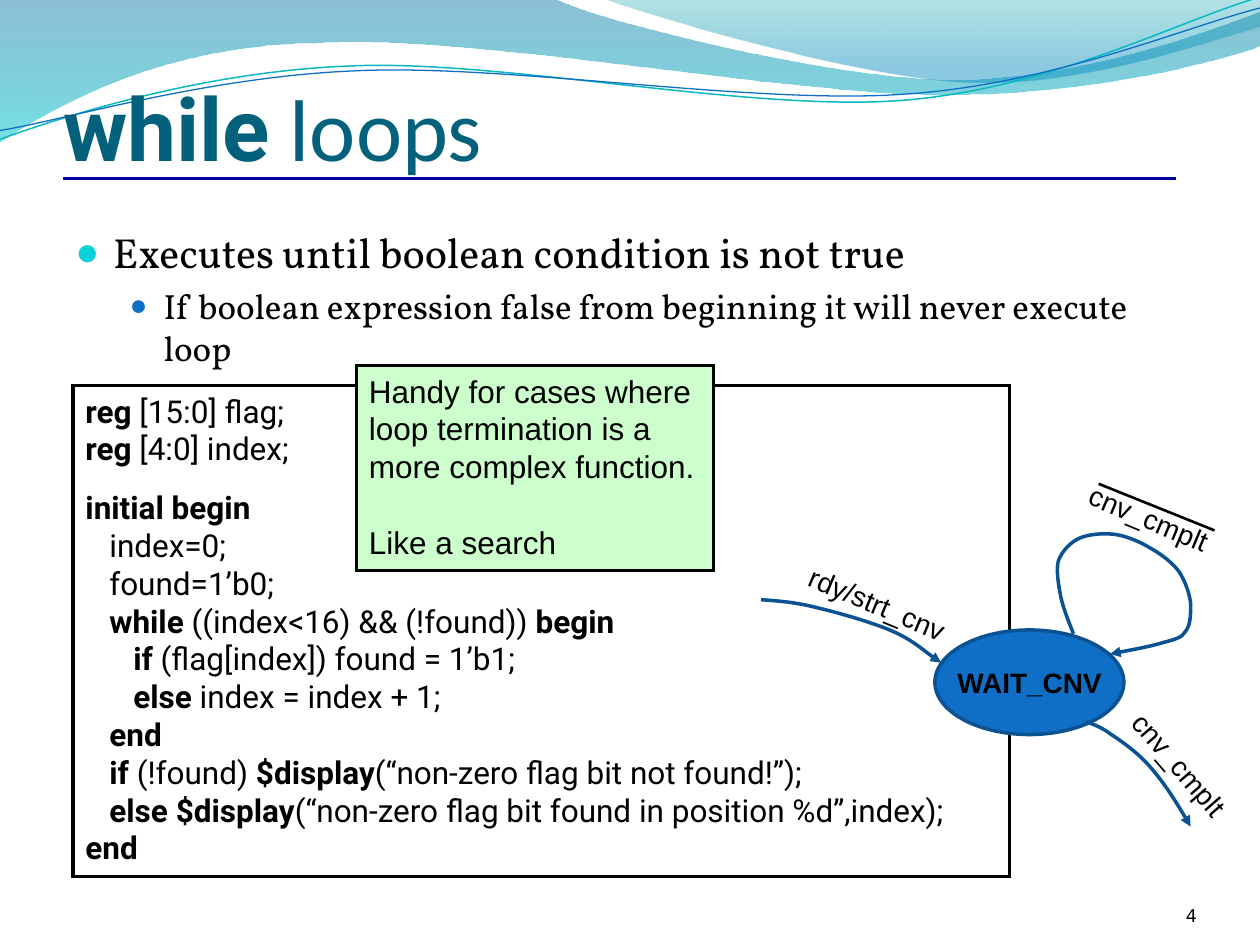
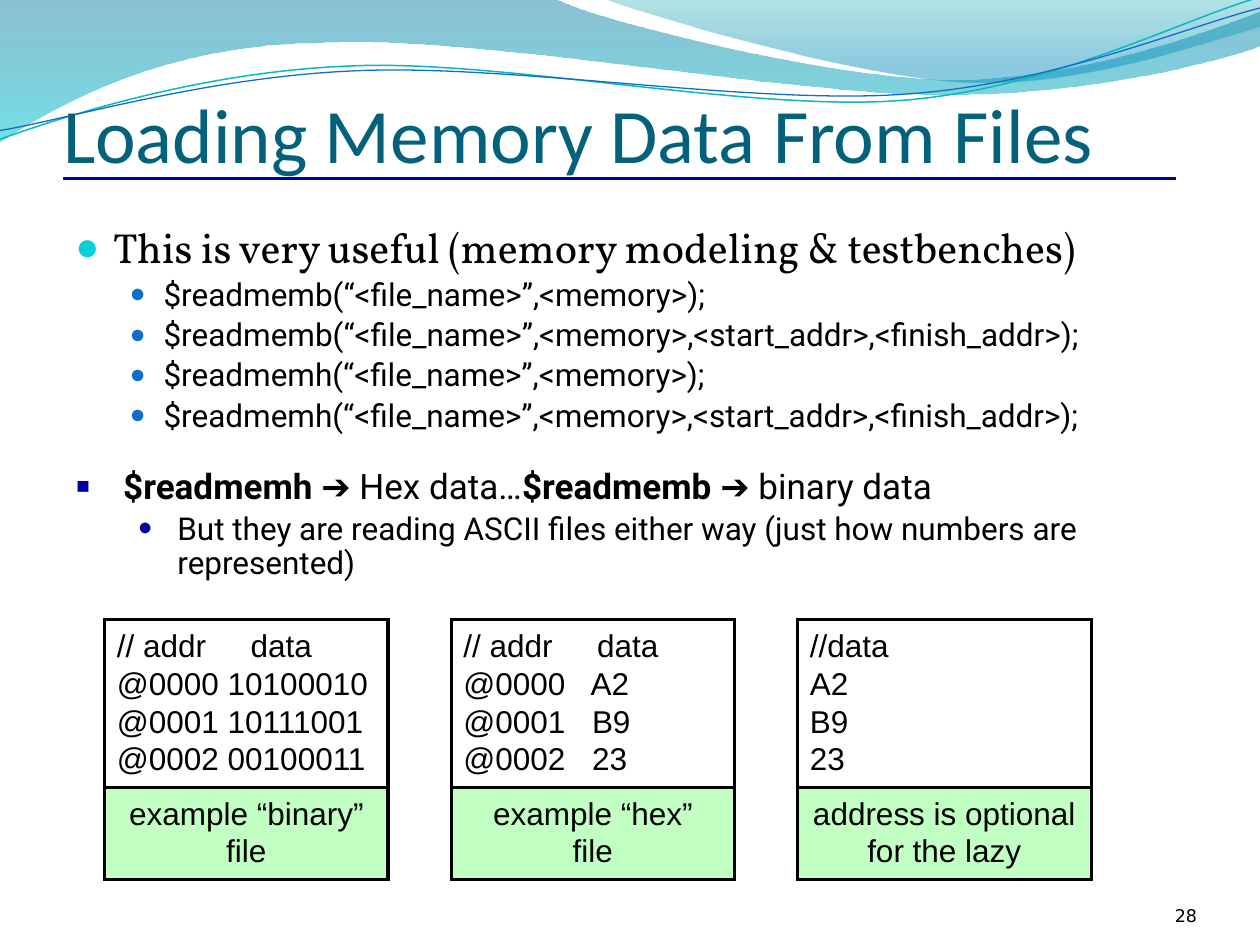
from dataclasses import dataclass

from lxml import etree
from pptx import Presentation
from pptx.dml.color import RGBColor
from pptx.enum.shapes import MSO_CONNECTOR, MSO_SHAPE
from pptx.enum.text import MSO_ANCHOR, MSO_AUTO_SIZE, PP_ALIGN
from pptx.oxml.ns import qn
from pptx.util import Emu, Pt

LEFT, CENTER, RIGHT = PP_ALIGN.LEFT, PP_ALIGN.CENTER, PP_ALIGN.RIGHT
TOP, BOTTOM = MSO_ANCHOR.TOP, MSO_ANCHOR.BOTTOM
RECTANGLE, OVAL = MSO_SHAPE.RECTANGLE, MSO_SHAPE.OVAL
STRAIGHT = MSO_CONNECTOR.STRAIGHT
EMU_PER_PX = 9144
LINE_FACTOR = 1.2
WAVE_ROTATION = 357.3


@dataclass(frozen=True)
class Theme:
    black: str = "000000"
    title: str = "04617B"
    rule: str = "0000A0"
    cyan: str = "0BD0D9"
    teal: str = "0AB8BF"
    blue: str = "0F6FC6"
    outline: str = "0B5292"
    note: str = "CCFFCC"
    caption: str = "00FF00"
    heading_font: str = "Calibri"
    body_font: str = "Vollkorn"
    code_font: str = "Roboto"
    label_font: str = "Arial"
    number_font: str = "DejaVu Sans"
    big_title_size: int = 50
    title_size: int = 44
    lead_size: int = 24
    point_size: int = 20
    text_size: int = 18
    label_size: int = 16
    number_size: int = 10
    border: float = 1.75
    arrow: float = 2


THEME = Theme()


@dataclass(frozen=True)
class Bullet:
    char: str
    color: str
    percent: int
    margin: int
    hang: int


LEAD = Bullet("●", THEME.cyan, 95, 30, 30)
POINT = Bullet("●", THEME.blue, 85, 70, 27)
SQUARE = Bullet("▪", THEME.rule, 125, 38, 38)
DOT = Bullet("•", THEME.rule, 125, 81, 31)

BANDS = [
    ([(0, -1), (440, -1), (476, 17, 664, 63, 758, 63), (853, 63, 958, 26, 1000, 9),
      (1001, 36), (983, 44, 870, 76, 746, 75), (622, 75, 382, 28, 257, 34),
      (129, 35, 46, 83, -1, 113)], [(0, "0074A1", 45), (1, "00C6CF", 55)]),
    ([(479, -1), (509, 11, 682, 62, 769, 65), (856, 69, 961, 32, 1000, 21),
      (1000, 0)], [(0, "00A1A9", 30), (0.8, "008BBF", 45)]),
]
WAVES = [
    ([(-2, 87), (47, 72, 158, 41, 278, 42), (396, 42, 591, 93, 712, 90),
      (832, 87, 940, 36, 1000, 22)], THEME.teal, 0.85),
    ([(-2, 80), (46, 75, 164, 45, 283, 46), (403, 46, 596, 88, 716, 85),
      (835, 83, 942, 42, 1002, 30)], THEME.blue, 0.75),
]

CODE = [
    (0, [("reg", True), (" [15:0] flag;", False)]),
    (0, [("reg", True), (" [4:0] index;", False)]),
    (0, [("initial begin", True)]),
    (1, [("index=0;", False)]),
    (1, [("found=1’b0;", False)]),
    (1, [("while", True), (" ((index<16) && (!found)) ", False), ("begin", True)]),
    (2, [("if", True), (" (flag[index]) found = 1’b1;", False)]),
    (2, [("else", True), (" index = index + 1;", False)]),
    (1, [("end", True)]),
    (1, [("if", True), (" (!found) ", False), ("$display", True),
         ("(“non-zero flag bit not found!”);", False)]),
    (1, [("else $display", True),
         ("(“non-zero flag bit found in position %d”,index);", False)]),
    (0, [("end", True)]),
]

ENTRY_ARROW = [(604, 476), (618, 477, 631, 478, 647, 482),
               (664, 486, 689, 493, 706, 500), (723, 507, 740, 522, 747, 526)]
LOOP_ARROW = [
    (852, 503), (848, 493, 844, 483, 842, 474), (840, 464, 838, 452, 840, 445),
    (843, 437, 850, 430, 857, 427), (864, 424, 875, 423, 884, 424),
    (893, 425, 905, 430, 913, 435), (922, 440, 931, 447, 936, 454),
    (941, 462, 944, 471, 945, 479), (945, 487, 945, 496, 941, 501),
    (938, 506, 934, 507, 923, 510), (913, 513, 897, 516, 881, 519)]
EXIT_ARROW = [(862, 573), (868, 575, 874, 577, 882, 583),
              (891, 589, 904, 598, 914, 610), (925, 623, 935, 639, 945, 656)]

MEMORY_FILES = [
    (83, 225, [("// addr\tdata", 106), ("@0000 10100010", 0),
               ("@0001 10111001", 0), ("@0002 00100011", 0)],
     ["example “binary”", "file"]),
    (358, 225, [("// addr\tdata", 106), ("@0000\tA2", 101),
                ("@0001\tB9", 102), ("@0002\t23", 102)],
     ["example “hex”", "file"]),
    (633, 233, [("//data", 0), ("A2", 0), ("B9", 0), ("23", 0)],
     ["address is optional for the lazy"]),
]


def px(value):
    return Emu(round(value * EMU_PER_PX))


def rgb(color):
    return RGBColor.from_string(color)


def child(parent, tag, **attributes):
    return etree.SubElement(parent, qn(tag), attributes)


def set_alphas(shape, *percents):
    for color, percent in zip(shape.element.spPr.iter(qn("a:srgbClr")), percents):
        child(color, "a:alpha", val=str(percent * 1000))


def set_frame(shape, anchor=TOP, insets=(10, 5, 10, 5), wrap=True):
    frame = shape.text_frame
    frame.word_wrap = wrap
    frame.auto_size = MSO_AUTO_SIZE.NONE
    frame.vertical_anchor = anchor
    (frame.margin_left, frame.margin_top,
     frame.margin_right, frame.margin_bottom) = map(px, insets)
    return frame


def next_para(frame):
    first = frame.paragraphs[0]
    return frame.add_paragraph() if first.runs else first


def add_span(para, text, size, font, color=THEME.black, bold=False):
    span = para.add_run()
    span.text = text
    span.font.size = Pt(size)
    span.font.name = font
    span.font.color.rgb = rgb(color)
    span.font.bold = bold


def add_para(frame, spans, size, font, align=LEFT, before=0, spacing=1.0):
    para = next_para(frame)
    para.alignment = align
    para.space_before = Pt(before)
    para.line_spacing = Pt(round(size * LINE_FACTOR * spacing, 2))
    for text, bold in spans:
        add_span(para, text, size, font, bold=bold)
    return para


def indent(para, margin, hang=0):
    properties = para._p.get_or_add_pPr()
    properties.set("marL", str(px(margin)))
    properties.set("indent", str(-px(hang)))
    return properties


def add_bullet(frame, bullet, spans, size, font, spacing=1.0):
    before = 0.2 * size if frame.paragraphs[0].runs else 0
    para = add_para(frame, spans, size, font, before=before, spacing=spacing)
    properties = indent(para, bullet.margin, bullet.hang)
    child(child(properties, "a:buClr"), "a:srgbClr", val=bullet.color)
    child(properties, "a:buSzPct", val=str(bullet.percent * 1000))
    child(properties, "a:buFont", typeface=THEME.label_font)
    child(properties, "a:buChar", char=bullet.char)


def add_tab_stop(para, position):
    stops = child(para._p.get_or_add_pPr(), "a:tabLst")
    child(stops, "a:tab", pos=str(px(position)), algn="l")


def add_text(page, left, top, width, height, rotation=0, **frame_options):
    box = page.shapes.add_textbox(px(left), px(top), px(width), px(height))
    box.rotation = rotation
    return set_frame(box, **frame_options)


def add_box(page, kind, bounds, fill=None, alpha=None, line=THEME.black,
            weight=THEME.border, wrap=True):
    box = page.shapes.add_shape(kind, *map(px, bounds))
    box.shadow.inherit = False
    if fill:
        box.fill.solid()
        box.fill.fore_color.rgb = rgb(fill)
    else:
        box.fill.background()
    if alpha:
        set_alphas(box, alpha)
    box.line.color.rgb = rgb(line)
    box.line.width = Pt(weight)
    child(box.element.spPr.get_or_add_ln(), "a:miter", lim="800000")
    return set_frame(box, wrap=wrap)


def add_line(page, start, end, color, weight):
    line = page.shapes.add_connector(STRAIGHT, *map(px, start + end))
    line.line.color.rgb = rgb(color)
    line.line.width = Pt(weight)
    child(line.element.spPr, "a:effectLst")


def add_outline(page, segments, closed=False):
    start, *rest = [tuple(map(px, segment[-2:])) for segment in segments]
    builder = page.shapes.build_freeform(*start)
    builder.add_line_segments(rest, close=closed)
    outline = builder.convert_to_shape()
    outline.shadow.inherit = False
    steps = list(outline.element.spPr.iter(qn("a:lnTo")))
    for step, segment in zip(steps, segments[1:]):
        if len(segment) == 6:
            bend(step, segment[:4], outline.left, outline.top)
    return outline


def bend(step, handles, left, top):
    curve = etree.Element(qn("a:cubicBezTo"))
    for x, y in (handles[:2], handles[2:]):
        child(curve, "a:pt", x=str(px(x) - left), y=str(px(y) - top))
    curve.extend(list(step))
    step.getparent().replace(step, curve)


def add_band(page, segments, stops):
    band = add_outline(page, segments, closed=True)
    band.line.fill.background()
    band.fill.gradient()
    band.fill.gradient_angle = 270
    for stop, (position, color, _) in zip(band.fill.gradient_stops, stops):
        stop.position = position
        stop.color.rgb = rgb(color)
    set_alphas(band, *[alpha for _, _, alpha in stops])


def add_curve(page, segments, color, weight):
    curve = add_outline(page, segments)
    curve.fill.background()
    curve.line.color.rgb = rgb(color)
    curve.line.width = Pt(weight)
    return curve


def add_arrow(page, segments):
    arrow = add_curve(page, segments, THEME.outline, THEME.arrow)
    child(arrow.element.spPr.get_or_add_ln(), "a:tailEnd", type="triangle")


def add_page(deck, title_spans, number):
    page = deck.slides.add_slide(deck.slide_layouts[5])
    for segments, stops in BANDS:
        add_band(page, segments, stops)
    for segments, color, weight in WAVES:
        add_curve(page, segments, color, weight).rotation = WAVE_ROTATION
    add_line(page, (50, 142), (933, 142), THEME.rule, THEME.border)
    title = page.shapes.title
    title.left, title.top, title.width, title.height = map(px, (50, 17, 900, 125))
    title.element.getparent().append(title.element)
    para = set_frame(title, BOTTOM, (0, 5, 0, 0)).paragraphs[0]
    para.alignment = LEFT
    for text, size, font, bold in title_spans:
        add_span(para, text, size, font, THEME.title, bold)
    frame = add_text(page, 867, 695, 83, 40, anchor=BOTTOM, insets=(0, 0, 0, 0))
    add_para(frame, [(number, False)], THEME.number_size, THEME.number_font, RIGHT)
    return page


def add_label(page, text, left, top, width, rotation=0, bold=False):
    frame = add_text(page, left, top, width, 37, rotation, wrap=False)
    add_para(frame, [(text, bold)], THEME.label_size, THEME.label_font)


def add_code(page):
    frame = add_box(page, RECTANGLE, (58, 306, 743, 390), wrap=False)
    for row, (level, spans) in enumerate(CODE):
        para = add_para(frame, spans, THEME.text_size, THEME.code_font,
                        before=12 if row == 2 else 0)
        indent(para, 19 * level)


def add_state_diagram(page):
    add_box(page, OVAL, (742, 500, 150, 83), THEME.blue, line=THEME.outline,
            weight=THEME.arrow)
    add_label(page, "WAIT_CNV", 750, 523, 141, bold=True)
    add_arrow(page, ENTRY_ARROW)
    add_label(page, "rdy/strt_cnv", 629, 461, 136, 22.7)
    add_arrow(page, LOOP_ARROW)
    add_label(page, "cnv_cmplt", 852, 393, 121, 22.7)
    add_line(page, (872, 384), (964, 421), THEME.black, 1.5)
    add_arrow(page, EXIT_ARROW)
    add_label(page, "cnv_cmplt", 876, 589, 121, 49.1)


def add_memory_file(page, left, width, rows, caption):
    frame = add_box(page, RECTANGLE, (left, 492, width, 133))
    for text, stop in rows:
        para = add_para(frame, [(text, False)], THEME.text_size, THEME.label_font)
        if stop:
            add_tab_stop(para, stop)
    frame = add_box(page, RECTANGLE, (left, 625, width, 73), THEME.caption, 24)
    for text in caption:
        add_para(frame, [(text, False)], THEME.text_size, THEME.label_font, CENTER)


def build_while_loops(deck):
    page = add_page(deck, [("while", THEME.big_title_size, THEME.code_font, True),
                           (" loops", THEME.big_title_size, THEME.heading_font, False)], "4")
    body = add_text(page, 50, 175, 900, 108)
    add_bullet(body, LEAD, [("Executes until boolean condition is not true", False)],
               THEME.lead_size, THEME.body_font)
    add_bullet(body, POINT, [("If boolean expression false from beginning it will "
                              "never execute loop", False)],
               THEME.point_size, THEME.body_font)
    add_code(page)
    note = add_box(page, RECTANGLE, (283, 290, 283, 163), THEME.note)
    for text, before in (("Handy for cases where loop termination is a more "
                          "complex function.", 0), ("Like a search", 21.6)):
        add_para(note, [(text, False)], THEME.text_size, THEME.label_font, before=before)
    add_state_diagram(page)


def build_memory_loading(deck):
    page = add_page(deck, [("Loading Memory Data From Files", THEME.title_size,
                            THEME.heading_font, False)], "28")
    body = add_text(page, 50, 175, 900, 200)
    add_bullet(body, LEAD, [("This is very useful (memory modeling & testbenches)", False)],
               THEME.lead_size, THEME.body_font, 0.9)
    for task in ("$readmemb", "$readmemh"):
        for addresses in ("", ",<start_addr>,<finish_addr>"):
            call = f"{task}(“<file_name>”,<memory>{addresses});"
            add_bullet(body, POINT, [(call, False)], THEME.text_size, THEME.code_font, 0.9)
    formats = add_text(page, 50, 367, 900, 108)
    add_bullet(formats, SQUARE, [("$readmemh ", True), ("➔ Hex data…", False),
                                 ("$readmemb", True), (" ➔ binary data", False)],
               THEME.point_size, THEME.code_font, 0.9)
    add_bullet(formats, DOT, [("But they are reading ASCII files either way (just how "
                               "numbers are represented)", False)],
               THEME.text_size, THEME.code_font, 0.9)
    for memory_file in MEMORY_FILES:
        add_memory_file(page, *memory_file)


def main():
    deck = Presentation()
    deck.slide_width, deck.slide_height = px(1000), px(750)
    build_while_loops(deck)
    build_memory_loading(deck)
    deck.save("out.pptx")


if __name__ == "__main__":
    main()
